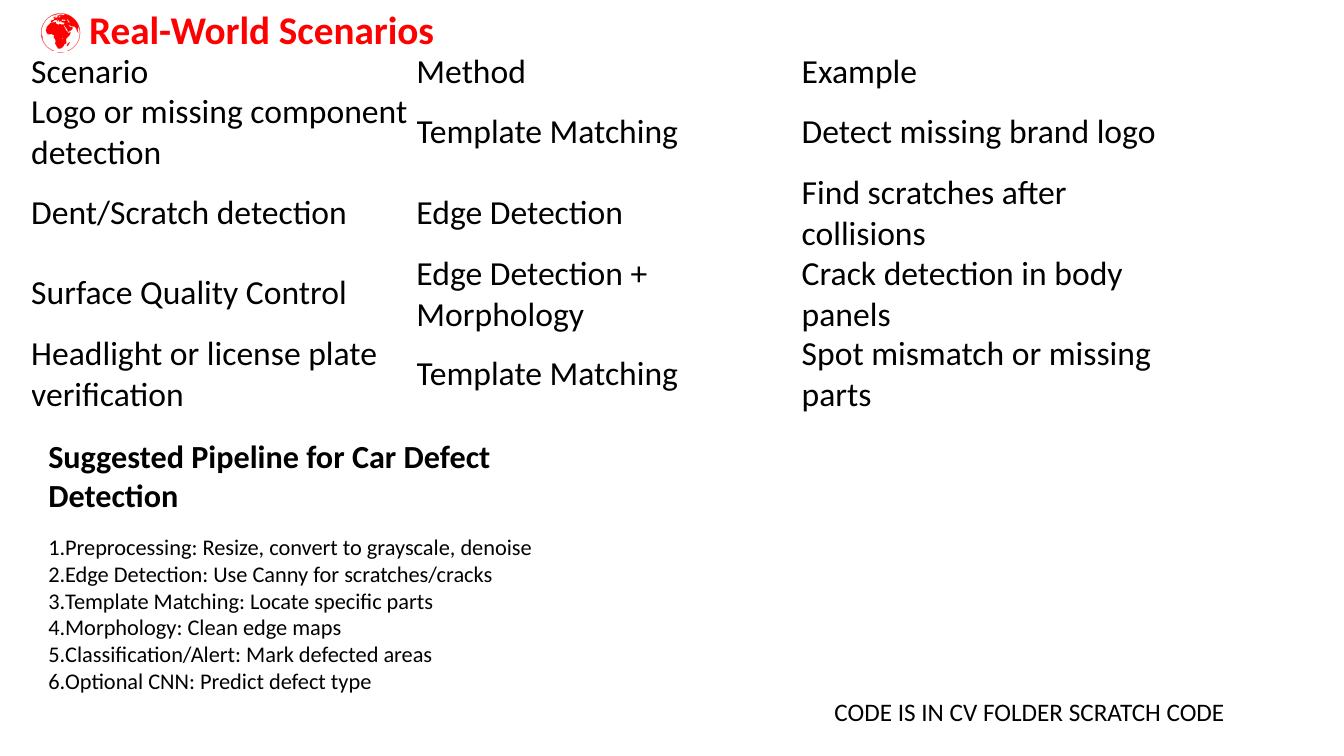
"""Build the slide on real-world scenarios and the car defect pipeline."""
from dataclasses import dataclass

from lxml.etree import SubElement
from pptx import Presentation
from pptx.dml.color import RGBColor
from pptx.enum.text import MSO_ANCHOR, MSO_AUTO_SIZE
from pptx.oxml.ns import qn
from pptx.slide import Slide
from pptx.util import Pt

FONT = "Calibri"
COLORS = {"title": "FF0000", "text": "000000"}


@dataclass
class Line:
    text: str
    size: float
    color: str = "text"
    bold: bool = False
    after: float = 0
    number: bool = False


@dataclass
class Box:
    left: float
    top: float
    width: float
    height: float
    lines: list[Line]


STEPS = [
    "Preprocessing: Resize, convert to grayscale, denoise",
    "Edge Detection: Use Canny for scratches/cracks",
    "Template Matching: Locate specific parts",
    "Morphology: Clean edge maps",
    "Classification/Alert: Mark defected areas",
    "Optional CNN: Predict defect type",
]
BOXES = [
    Box(22.3, 0, 400.3, 41.4,
        [Line("🌍 Real-World Scenarios", 28, "title", True)]),
    Box(27.4, 308.2, 388.8, 199.4,
        [Line("Suggested Pipeline for Car Defect Detection", 23,
              bold=True, after=13.8),
         *(Line(step, 16, number=True) for step in STEPS)]),
    Box(589, 493.9, 319.7, 29.1,
        [Line("CODE IS IN CV FOLDER SCRATCH CODE", 18)]),
]
ROWS = [
    ("Scenario", "Method", "Example"),
    ("Logo or missing component detection", "Template Matching",
     "Detect missing brand logo"),
    ("Dent/Scratch detection", "Edge Detection",
     "Find scratches after collisions"),
    ("Surface Quality Control", "Edge Detection + Morphology",
     "Crack detection in body panels"),
    ("Headlight or license plate verification", "Template Matching",
     "Spot mismatch or missing parts"),
]


def write(para, line: Line) -> None:
    """Fill one paragraph with a styled line."""
    para.text = line.text
    para.font.name = FONT
    para.font.size = Pt(line.size)
    para.font.bold = line.bold
    para.font.color.rgb = RGBColor.from_string(COLORS[line.color])
    para.space_after = Pt(line.after)
    if line.number:
        props = para._p.get_or_add_pPr()
        mark = SubElement(props, qn("a:buAutoNum"), type="arabicPeriod")
        props.insert(list(props).index(props.find(qn("a:spcAft"))) + 1, mark)


def add_box(slide: Slide, box: Box) -> None:
    """Add a wrapped text box."""
    shape = slide.shapes.add_textbox(
        Pt(box.left), Pt(box.top), Pt(box.width), Pt(box.height))
    frame = shape.text_frame
    frame.word_wrap = True
    frame.auto_size = MSO_AUTO_SIZE.SHAPE_TO_FIT_TEXT
    for i, line in enumerate(box.lines):
        write(frame.add_paragraph() if i else frame.paragraphs[0], line)


def add_grid(slide: Slide, rows: list[tuple[str, ...]]) -> None:
    """Add the plain table, whose rows grow to fit their text."""
    count = len(rows[0])
    table = slide.shapes.add_table(
        len(rows), count, Pt(22.3), Pt(36.7), Pt(275.2 * count), Pt(0)).table
    table.first_row = table.horz_banding = False
    for r, row in enumerate(rows):
        for c, text in enumerate(row):
            cell = table.cell(r, c)
            cell.fill.background()
            cell.vertical_anchor = MSO_ANCHOR.MIDDLE
            cell.margin_left = cell.margin_right = Pt(0)
            cell.margin_top = cell.margin_bottom = Pt(0)
            write(cell.text_frame.paragraphs[0], Line(text, 24))


def main() -> None:
    """Build and save the deck."""
    deck = Presentation()
    deck.slide_width, deck.slide_height = Pt(960), Pt(540)
    slide = deck.slides.add_slide(deck.slide_layouts[6])
    title, *rest = BOXES
    add_box(slide, title)
    add_grid(slide, ROWS)
    for box in rest:
        add_box(slide, box)
    deck.save("out.pptx")


if __name__ == "__main__":
    main()
